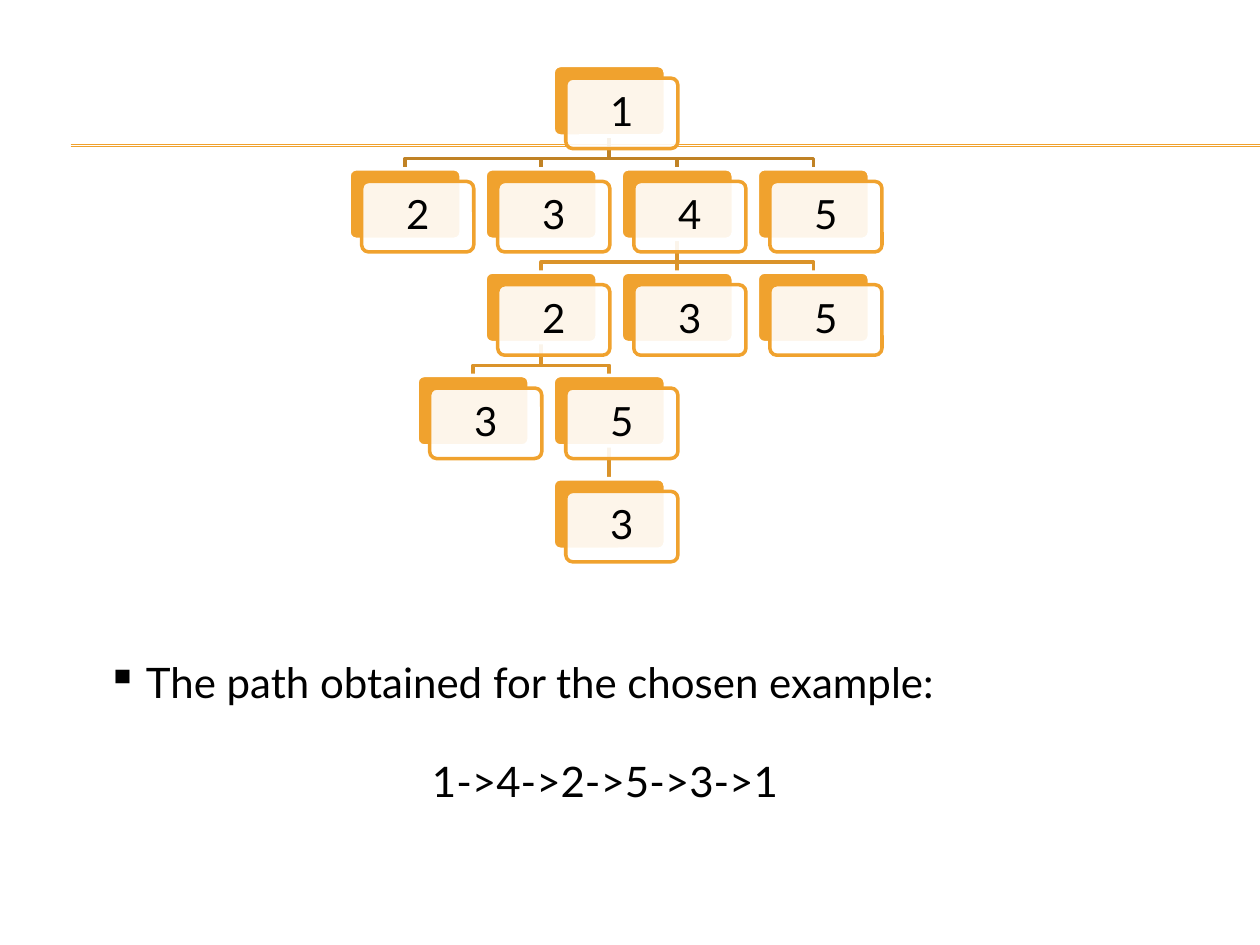
from dataclasses import dataclass

from lxml.etree import SubElement
from pptx import Presentation
from pptx.dml.color import RGBColor
from pptx.enum.shapes import MSO_CONNECTOR as Connector, MSO_SHAPE as Shape
from pptx.enum.text import MSO_ANCHOR as Anchor, PP_ALIGN as Align
from pptx.oxml.ns import qn
from pptx.slide import Slide
from pptx.util import Inches, Pt

AMBER = RGBColor(0xF0, 0xA2, 0x2E)
DARK_AMBER = RGBColor(0xC0, 0x82, 0x25)
MID_AMBER = RGBColor(0xDA, 0x93, 0x2A)
WHITE = RGBColor(0xFF, 0xFF, 0xFF)
BLACK = RGBColor(0, 0, 0)

WIDTH, HEIGHT = 10, 7.5
TREE_LEFT, TREE_TOP = 2.77, 0.52
COLUMN, ROW = 0.54, 0.82
CARD_WIDTH, CARD_HEIGHT = 0.89, 0.56
CARD_OFFSET = 0.1
BEND = 0.18

# Each node: label, column, row, index of its parent
NODES = [
    ("1", 3, 0, None),
    ("2", 0, 1, 0), ("3", 2, 1, 0), ("4", 4, 1, 0), ("5", 6, 1, 0),
    ("2", 2, 2, 3), ("3", 4, 2, 3), ("5", 6, 2, 3),
    ("3", 1, 3, 5), ("5", 3, 3, 5),
    ("3", 3, 4, 9),
]


def write(paragraph, text, size=24, align=Align.LEFT, indent=0, hanging=0,
          before=0, spacing=1.0, bullet=None, font="Lato", color=BLACK):
    """Fill one paragraph; indent and hanging are in inches, before in points."""
    paragraph.alignment = align
    paragraph.line_spacing = spacing
    paragraph.space_before = Pt(before)
    properties = paragraph._p.get_or_add_pPr()
    properties.set("marL", str(Inches(indent)))
    properties.set("indent", str(-Inches(hanging)))
    if bullet:
        SubElement(properties, qn("a:buChar")).set("char", bullet)
    run = paragraph.add_run()
    run.text = text
    run.font.name = font
    run.font.size = Pt(size)
    run.font.color.rgb = color


@dataclass
class TreeSlide:
    slide: Slide
    accent: RGBColor = AMBER
    stroke: float = 2

    def line(self, start, end, color, width):
        """Draw a straight line between two points in inches."""
        line = self.slide.shapes.add_connector(
            Connector.STRAIGHT, *map(Inches, (*start, *end)))
        line.line.color.rgb = color
        line.line.width = Pt(width)
        SubElement(line._element.spPr, qn("a:effectLst"))

    def rule(self, top):
        """Draw a rule to the right edge; top is a share of the height."""
        y = top * HEIGHT
        self.line((0.056 * WIDTH, y), (WIDTH, y), self.accent, 0.75)

    def card(self, left, top, fill, outline):
        card = self.slide.shapes.add_shape(
            Shape.ROUNDED_RECTANGLE,
            *map(Inches, (left, top, CARD_WIDTH, CARD_HEIGHT)))
        card.adjustments[0] = 0.1
        card.shadow.inherit = False
        card.fill.solid()
        card.fill.fore_color.rgb = fill
        card.line.color.rgb = outline
        card.line.width = Pt(self.stroke)
        return card

    def node(self, label, column, row):
        left, top = TREE_LEFT + column * COLUMN, TREE_TOP + row * ROW
        self.card(left, top, self.accent, WHITE)
        front = self.card(left + CARD_OFFSET, top + CARD_OFFSET, WHITE, self.accent)
        tint = front.fill._xPr.find(qn("a:solidFill"))[0]
        SubElement(tint, qn("a:alpha")).set("val", "90000")
        frame = front.text_frame
        frame.vertical_anchor = Anchor.MIDDLE
        write(frame.paragraphs[0], label, size=23, align=Align.CENTER, spacing=0.9)

    def branch(self, parent, child):
        """Link the parent's lower edge to the child's upper edge."""
        (_, from_column, from_row, _), (_, to_column, to_row, _) = parent, child
        from_x, to_x = (TREE_LEFT + column * COLUMN + CARD_WIDTH / 2
                        for column in (from_column, to_column))
        from_y = TREE_TOP + from_row * ROW + CARD_HEIGHT
        to_y = TREE_TOP + to_row * ROW
        color = MID_AMBER if from_row else DARK_AMBER
        if from_column == to_column:
            self.line((from_x, from_y), (to_x, to_y), color, self.stroke)
            return
        bend_y = from_y + BEND
        builder = self.slide.shapes.build_freeform(Inches(from_x), Inches(from_y))
        corners = [(from_x, bend_y), (to_x, bend_y), (to_x, to_y)]
        builder.add_line_segments(
            [(Inches(x), Inches(y)) for x, y in corners], close=False)
        elbow = builder.convert_to_shape()
        elbow.shadow.inherit = False
        elbow.fill.background()
        elbow.line.color.rgb = color
        elbow.line.width = Pt(self.stroke)

    def text_area(self, left, top, width, height):
        """Add a wrapping text box; all lengths are shares of the slide."""
        box = self.slide.shapes.add_textbox(
            Inches(left * WIDTH), Inches(top * HEIGHT),
            Inches(width * WIDTH), Inches(height * HEIGHT))
        box.text_frame.word_wrap = True
        return box.text_frame


def main():
    deck = Presentation()
    deck.slide_width, deck.slide_height = Inches(WIDTH), Inches(HEIGHT)
    page = TreeSlide(deck.slides.add_slide(deck.slide_layouts[6]))

    for top in (0.153, 0.155):
        page.rule(top)
    for node in NODES:
        parent = node[3]
        if parent is not None:
            page.branch(NODES[parent], node)
    for label, column, row, _ in NODES:
        page.node(label, column, row)

    summary = page.text_area(0.075, 0.688, 0.748, 0.175)
    write(summary.paragraphs[0], "The path obtained for the chosen example:",
          indent=0.31, hanging=0.31, bullet="▪")
    write(summary.add_paragraph(), "1->4->2->5->3->1", indent=2.58, before=28)

    deck.save("out.pptx")


if __name__ == "__main__":
    main()
